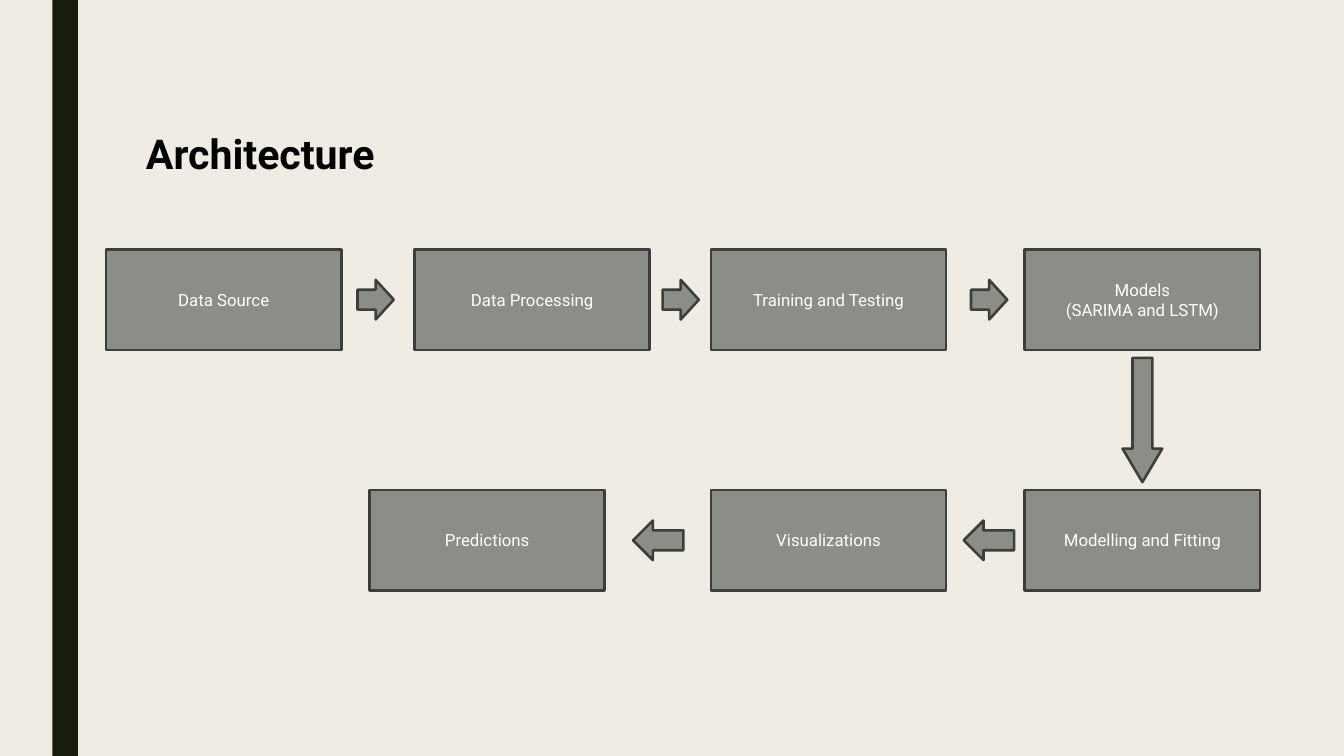
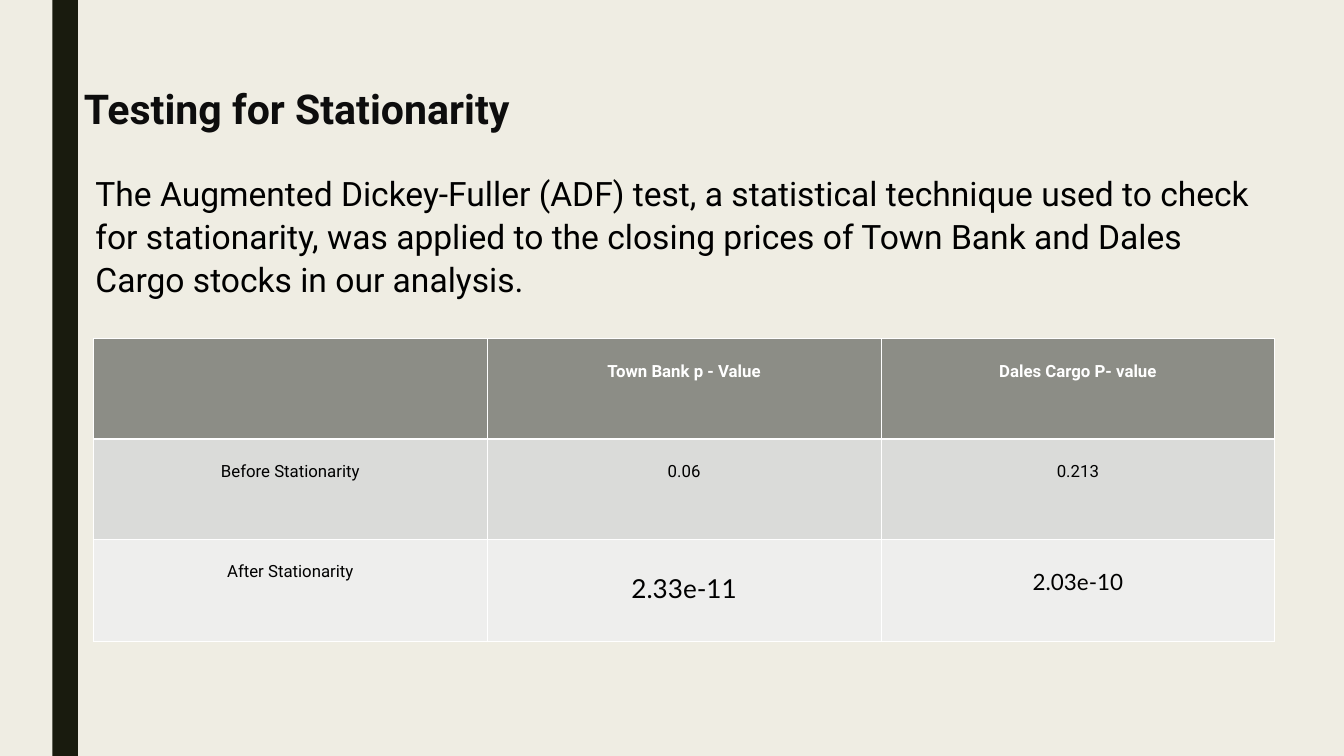
from dataclasses import dataclass

from lxml import etree
from pptx import Presentation
from pptx import util as u
from pptx.dml.color import RGBColor
from pptx.enum import shapes, text
from pptx.oxml.ns import qn


@dataclass(frozen=True)
class Theme:
    paper: str = "EFEDE3"
    band: str = "191B0E"
    grey: str = "8C8D86"
    edge: str = "3D3E3B"
    black: str = "000000"
    near_black: str = "0D0D0D"
    white: str = "FFFFFF"
    row_fills: tuple = ("8C8D86", "DADBD9", "EEEEED")
    font: str = "Roboto"
    number_font: str = "Lato"
    title: int = 44
    body: int = 36
    label: int = 18
    edge_width: float = 2.75


T = Theme()
WIDTH, HEIGHT = 20, 11.25

# Architecture: box columns, box rows, and the steps placed on them
BOX_W, BOX_H = 3.5, 1.5
ROW_TOPS = (3.71, 7.29)
STEPS = [
    ("Data Source", 1.58, 0),
    ("Data Processing", 6.17, 0),
    ("Training and Testing", 10.58, 0),
    ("Models\n(SARIMA and LSTM)", 15.25, 0),
    ("Modelling and Fitting", 15.25, 1),
    ("Visualizations", 10.58, 1),
    ("Predictions", 5.5, 1),
]
ARROW_H = 0.59
# per row: arrow length, rotation, arrow lefts
ARROWS = [(0.54, 0, (5.32, 9.86, 14.45)), (0.75, 180, (14.34, 9.42))]
DOWN_LENGTH, DOWN_HEAD = 1.85, 0.844

# Stationarity: paragraph and p-values
ADF_TEXT = ("The Augmented Dickey-Fuller (ADF) test, a statistical technique used to "
            "check for stationarity, was applied to the closing prices of Town Bank and "
            "Dales Cargo stocks in our analysis.")
P_VALUES = [
    ("", "Town Bank p - Value", "Dales Cargo P- value"),
    ("Before Stationarity", "0.06", "0.213"),
    ("After Stationarity", "2.33e-11", "2.03e-10"),
]
ROW_HEIGHTS = (1.49, 1.49, 1.53)
COL_W = 5.86
NUMBER_SIZES = {(2, 1): 28, (2, 2): 24}


def rgb(value):
    return RGBColor.from_string(value)


def inches(*values):
    return [u.Inches(v) for v in values]


def write(tf, words, size, color, bold=False, font=T.font,
          align=text.PP_ALIGN.CENTER, spacing=None):
    """Put each line of words in its own paragraph."""
    tf.word_wrap = True
    for i, line in enumerate(words.split("\n")):
        p = tf.paragraphs[0] if i == 0 else tf.add_paragraph()
        p.alignment = align
        if spacing:
            p.line_spacing = u.Pt(spacing)
        r = p.add_run()
        r.text = line
        r.font.name, r.font.size, r.font.bold = font, u.Pt(size), bold
        r.font.color.rgb = rgb(color)


def add_text(s, box, words, size, color, **style):
    tf = s.shapes.add_textbox(*inches(*box)).text_frame
    tf.margin_left = tf.margin_top = tf.margin_right = tf.margin_bottom = 0
    write(tf, words, size, color, **style)


def add_solid(s, kind, box, fill, edge=None):
    sp = s.shapes.add_shape(kind, *inches(*box))
    sp.shadow.inherit = False
    sp.fill.solid()
    sp.fill.fore_color.rgb = rgb(fill)
    if edge:
        sp.line.color.rgb = rgb(edge)
        sp.line.width = u.Pt(T.edge_width)
    else:
        sp.line.fill.background()
    return sp


def add_arrow(s, left, top, length, rotation):
    sp = add_solid(s, shapes.MSO_SHAPE.RIGHT_ARROW,
                   (left, top, length, ARROW_H), T.grey, T.edge)
    sp.rotation = rotation
    return sp


def add_page(prs, title, title_box, spacing, color):
    """Slide with the dark side band and a bold title."""
    s = prs.slides.add_slide(prs.slide_layouts[6])
    s.background.fill.solid()
    s.background.fill.fore_color.rgb = rgb(T.paper)
    add_solid(s, shapes.MSO_SHAPE.RECTANGLE, (0.78, 0, 0.38, HEIGHT), T.band)
    add_text(s, title_box, title, T.title, color, bold=True, spacing=spacing)
    return s


def set_borders(cell, bottom_width):
    tc_pr = cell._tc.get_or_add_tcPr()
    for i, (tag, width) in enumerate(
            (("a:lnL", 1), ("a:lnR", 1), ("a:lnT", 1), ("a:lnB", bottom_width))):
        ln = etree.Element(qn(tag), w=str(u.Pt(width)))
        fill = etree.SubElement(ln, qn("a:solidFill"))
        etree.SubElement(fill, qn("a:srgbClr"), val=T.white)
        tc_pr.insert(i, ln)


def architecture(prs):
    s = add_page(prs, "Architecture", (1.58, 1.96, 4.59, 0.69), 49, T.black)
    for label, left, row in STEPS:
        sp = add_solid(s, shapes.MSO_SHAPE.RECTANGLE,
                       (left, ROW_TOPS[row], BOX_W, BOX_H), T.grey, T.edge)
        sp.text_frame.vertical_anchor = text.MSO_ANCHOR.MIDDLE
        write(sp.text_frame, label, T.label, T.white)

    # Arrows along each row, centred on the boxes' height
    for top, (length, rotation, lefts) in zip(ROW_TOPS, ARROWS):
        for left in lefts:
            add_arrow(s, left, top + (BOX_H - ARROW_H) / 2, length, rotation)

    # Long arrow between the rows, under the last column
    center_x = STEPS[3][1] + BOX_W / 2
    center_y = (sum(ROW_TOPS) + BOX_H) / 2
    down = add_arrow(s, center_x - DOWN_LENGTH / 2, center_y - ARROW_H / 2,
                     DOWN_LENGTH, 90)
    down.adjustments[1] = DOWN_HEAD


def stationarity(prs):
    s = add_page(prs, "Testing for Stationarity", (-1.37, 1.12, 11.58, 0.81),
                 61.6, T.near_black)
    add_text(s, (1.42, 2.53, 17.58, 2.51), ADF_TEXT, T.body, T.black,
             align=text.PP_ALIGN.LEFT, spacing=46.2)

    # Table of p-values
    n_cols = len(P_VALUES[0])
    table = s.shapes.add_table(len(P_VALUES), n_cols, *inches(
        1.39, 5.04, n_cols * COL_W, sum(ROW_HEIGHTS))).table
    table.horz_banding = False
    for col in table.columns:
        col.width = u.Inches(COL_W)
    for i, row in enumerate(P_VALUES):
        table.rows[i].height = u.Inches(ROW_HEIGHTS[i])
        header = i == 0
        for j, words in enumerate(row):
            cell = table.cell(i, j)
            cell.fill.solid()
            cell.fill.fore_color.rgb = rgb(T.row_fills[i])
            set_borders(cell, 3 if header else 1)
            size = NUMBER_SIZES.get((i, j), T.label)
            # text starts one line below the cell's top
            cell.margin_top = u.Inches(0.05) + u.Pt(1.18 * size)
            if words:
                write(cell.text_frame, words, size,
                      T.white if header else T.black, bold=header,
                      font=T.number_font if (i, j) in NUMBER_SIZES else T.font)


def main():
    prs = Presentation()
    prs.slide_width, prs.slide_height = inches(WIDTH, HEIGHT)
    architecture(prs)
    stationarity(prs)
    prs.save("out.pptx")


if __name__ == "__main__":
    main()
